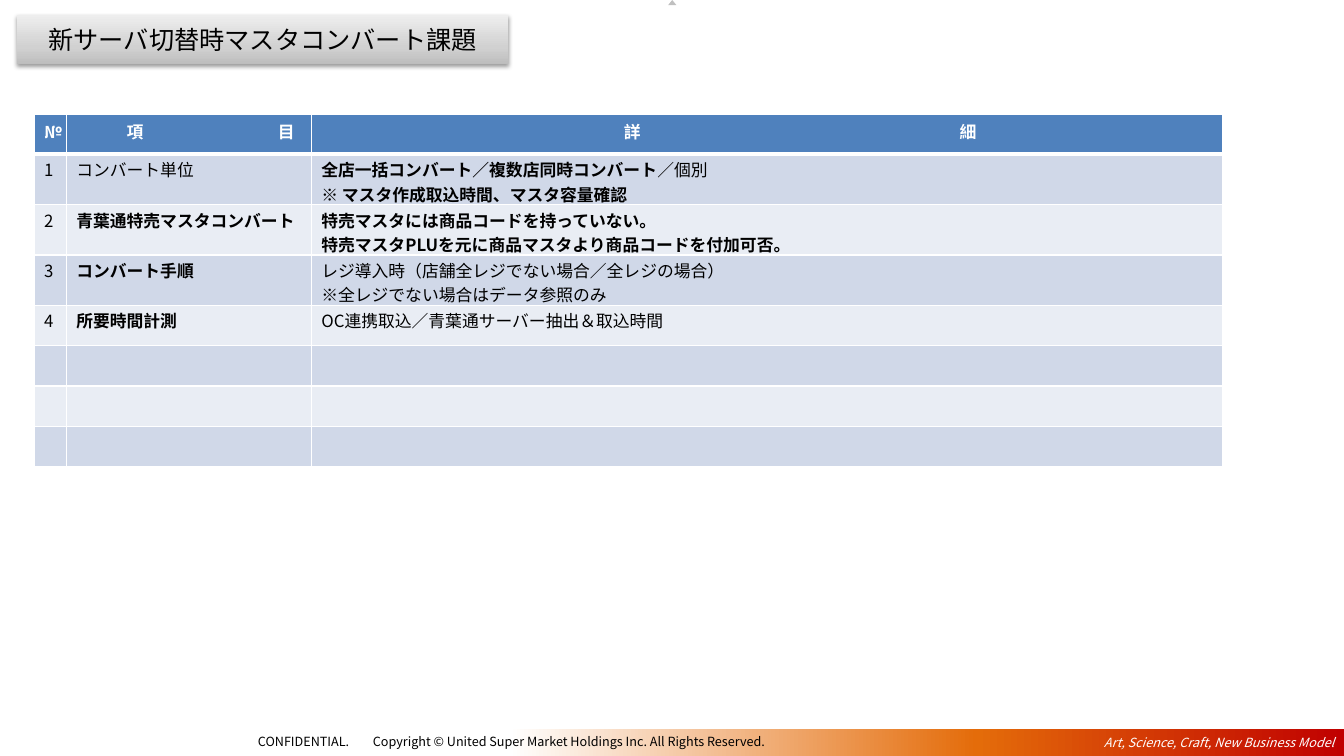
import lxml.etree
import pptx
import pptx.dml.color
import pptx.enum.shapes
import pptx.enum.text
import pptx.oxml
import pptx.oxml.ns
import pptx.util

COLORS = {
    "white": "FFFFFF", "black": "000000", "orange": "E46C0A", "red": "C00000",
    "marker": "C0C0C0", "header": "4F81BD", "odd": "D0D8E8", "even": "E9EDF4",
    "steel": "BDBDBD", "silver": "D1D1D1", "mist": "EEEEEE",
}
BODY_FONT = "Noto Sans CJK JP"
FOOTER_FONT = "Noto Sans CJK TC"
WIDTH, HEIGHT = pptx.util.Inches(13.33), pptx.util.Inches(7.5)
SHAPES = pptx.enum.shapes.MSO_SHAPE
ALIGN = pptx.enum.text.PP_ALIGN

COLUMN_SHARES = [2.4, 18.23, 67.8]
ROW_SHARES = [5.33] + [6.67] * 3 + [5.33] * 4
HEADER = [("№", []), ("\t項\t目", [0.5, 2]), ("\t詳\t細", [3, 6.33])]
# Each issue: item, whether the item is bold, lines of (text, bold) spans.
ISSUES = [
    ("コンバート単位", False, [
        [("全店一括コンバート／複数店同時コンバート", True), ("／個別", False)],
        [("※ マスタ作成取込時間、マスタ容量確認", True)]]),
    ("青葉通特売マスタコンバート", True, [
        [("特売マスタには商品コードを持っていない。", True)],
        [("特売マスタPLUを元に商品マスタより商品コードを付加可否。", True)]]),
    ("コンバート手順", True, [
        [("レジ導入時（店舗全レジでない場合／全レジの場合）", False)],
        [("※全レジでない場合はデータ参照のみ", False)]]),
    ("所要時間計測", True, [
        [("OC連携取込／青葉通サーバー抽出＆取込時間", False)]]),
]


def across(share):
    return round(WIDTH * share / 100)


def down(share):
    return round(HEIGHT * share / 100)


def place(left, top, width, height):
    """Turn percentages of the slide into lengths."""
    return across(left), down(top), across(width), down(height)


def color(name):
    return pptx.dml.color.RGBColor.from_string(COLORS[name])


def add_xml(parent, markup, index=None):
    """Parse markup in the drawing namespace and put it under parent."""
    tag, rest = markup[1:].split(" ", 1)
    space = pptx.oxml.ns.nsdecls("a")
    element = pptx.oxml.parse_xml(f"<{tag} {space} {rest}")
    parent.insert(len(parent) if index is None else index, element)


def write(para, spans, size, ink, font=BODY_FONT, tabs=(), italic=None):
    """Write (text, bold) spans, with tab stops in inches."""
    for text, bold in spans:
        span = para.add_run()
        span.text = text
        if len(spans) > 1:
            span.font.bold = bold
    if tabs:
        stops = "".join(f'<a:tab pos="{pptx.util.Inches(stop)}" algn="l"/>' for stop in tabs)
        add_xml(para._p.get_or_add_pPr(), f"<a:tabLst >{stops}</a:tabLst>")
    para.font.size = pptx.util.Pt(size)
    para.font.name = font
    para.font.color.rgb = color(ink)
    para.font.italic = italic
    if len(spans) == 1:
        para.font.bold = spans[0][1]
    add_xml(para.font._element, f'<a:ea typeface="{font}"/>')


def add_block(page, kind, area):
    block = page.shapes.add_shape(kind, *place(*area))
    block.shadow.inherit = False
    block.line.fill.background()
    return block


def add_gradient_box(page, area, stops, angle):
    box = add_block(page, SHAPES.RECTANGLE, area)
    marks = "".join(f'<a:gs pos="{share * 1000}"><a:srgbClr val="{COLORS[name]}"/></a:gs>'
                    for share, name in stops)
    properties = box._element.spPr
    outline = properties.find(pptx.oxml.ns.qn("a:ln"))
    add_xml(properties,
            f'<a:gradFill rotWithShape="1"><a:gsLst>{marks}</a:gsLst>'
            f'<a:lin ang="{angle * 60000}" scaled="0"/></a:gradFill>',
            properties.index(outline))
    box.text_frame.word_wrap = True
    box.text_frame.vertical_anchor = pptx.enum.text.MSO_ANCHOR.MIDDLE
    return box


def add_drop_shadow(box):
    effects = box._element.spPr.find(pptx.oxml.ns.qn("a:effectLst"))
    add_xml(effects,
            f'<a:outerShdw blurRad="{pptx.util.Pt(3.1)}" dist="{pptx.util.Pt(1.6)}" '
            f'dir="5400000" rotWithShape="0"><a:srgbClr val="{COLORS["black"]}">'
            '<a:alpha val="38000"/></a:srgbClr></a:outerShdw>')


def add_footer(page):
    band = add_gradient_box(page, (37.88, 96.4, 62.12, 3.6),
                            [(0, "white"), (56, "orange"), (100, "red")], 0)
    slogan = band.text_frame.paragraphs[0]
    slogan.alignment = ALIGN.RIGHT
    write(slogan, [("Art, Science, Craft, New Business Model", None)],
          9, "white", FOOTER_FONT, italic=True)
    notice = page.shapes.add_textbox(*place(18.45, 96.4, 41.18, 3.33)).text_frame
    notice.word_wrap = True
    write(notice.paragraphs[0],
          [("CONFIDENTIAL.\tCopyright © United Super Market Holdings Inc. "
            "All Rights Reserved.", None)], 9, "black", FOOTER_FONT, tabs=[1.14])


def add_title(page):
    box = add_gradient_box(page, (1.28, 2, 36.53, 6.53),
                           [(0, "steel"), (35, "silver"), (100, "mist")], 270)
    add_drop_shadow(box)
    para = box.text_frame.paragraphs[0]
    para.alignment = ALIGN.CENTER
    write(para, [("新サーバ切替時マスタコンバート課題", None)], 18, "black")


def style_cell(cell, row):
    cell.fill.solid()
    cell.fill.fore_color.rgb = color(("odd" if row % 2 else "even") if row else "header")
    cell.margin_top = pptx.util.Inches(0.03 if row else 0.05)
    cell.margin_bottom = 0
    for index, side in enumerate("LRTB"):
        thick = (row == 0 and side == "B") or (row == 1 and side == "T")
        add_xml(cell._tc.get_or_add_tcPr(),
                f'<a:ln{side} w="{pptx.util.Pt(3 if thick else 1)}"><a:solidFill>'
                f'<a:srgbClr val="{COLORS["white"]}"/></a:solidFill></a:ln{side}>', index)


def fill_cell(cell, lines):
    frame = cell.text_frame
    for index, spans in enumerate(lines):
        para = frame.add_paragraph() if index else frame.paragraphs[0]
        write(para, spans, 12, "black")


def add_issue_table(page):
    area = place(2.53, 15.07, sum(COLUMN_SHARES), sum(ROW_SHARES))
    table = page.shapes.add_table(len(ROW_SHARES), len(COLUMN_SHARES), *area).table
    for column, share in zip(table.columns, COLUMN_SHARES):
        column.width = across(share)
    for number, (row, share) in enumerate(zip(table.rows, ROW_SHARES)):
        row.height = down(share)
        for cell in row.cells:
            style_cell(cell, number)
    for column, (text, tabs) in enumerate(HEADER):
        write(table.cell(0, column).text_frame.paragraphs[0], [(text, True)],
              12, "white", tabs=tabs)
    for number, (item, bold, details) in enumerate(ISSUES, 1):
        fill_cell(table.cell(number, 0), [[(str(number), False)]])
        fill_cell(table.cell(number, 1), [[(item, bold)]])
        fill_cell(table.cell(number, 2), details)


def main():
    deck = pptx.Presentation()
    deck.slide_width, deck.slide_height = WIDTH, HEIGHT
    page = deck.slides.add_slide(deck.slide_layouts[6])
    add_footer(page)
    marker = add_block(page, SHAPES.ISOSCELES_TRIANGLE, (49.72, 0, 0.6, 0.67))
    marker.fill.solid()
    marker.fill.fore_color.rgb = color("marker")
    add_title(page)
    add_issue_table(page)
    deck.save("out.pptx")


if __name__ == "__main__":
    main()
